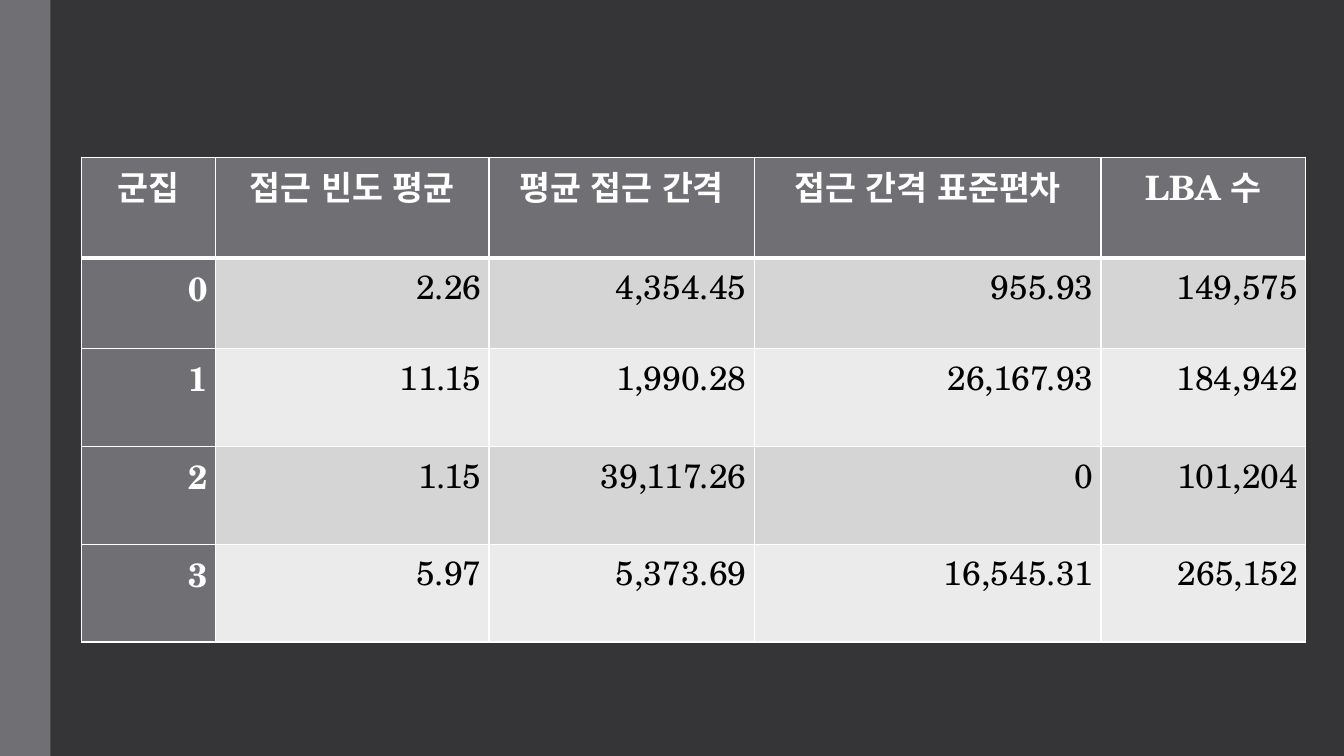
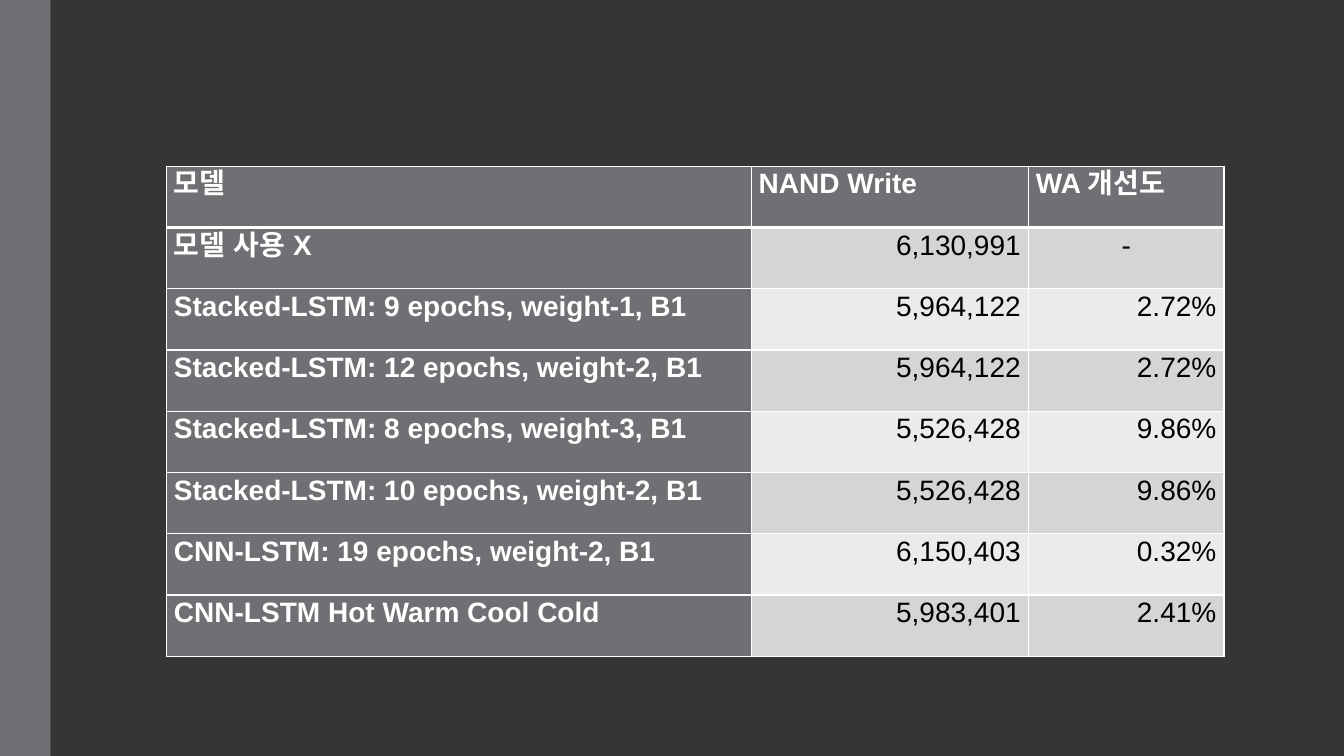
from lxml.etree import SubElement
from pptx import Presentation
from pptx.dml.color import RGBColor
from pptx.enum.shapes import MSO_SHAPE as Shape
from pptx.enum.text import PP_ALIGN as Align
from pptx.oxml import parse_xml
from pptx.oxml.ns import nsdecls, qn
from pptx.util import Inches, Pt

# Shared colours
BACKGROUND = RGBColor(0x35, 0x35, 0x37)
ACCENT = RGBColor(0x6F, 0x6F, 0x74)
DARK_ROW = RGBColor(0xD5, 0xD5, 0xD6)
LIGHT_ROW = RGBColor(0xEB, 0xEB, 0xEB)
WHITE = RGBColor(0xFF, 0xFF, 0xFF)
BLACK = RGBColor(0x00, 0x00, 0x00)

# Shared cell formats
CELL_FORMAT = {
    "margin_left": Pt(5.4),
    "margin_right": Pt(5.4),
    "margin_top": 0,
    "margin_bottom": 0,
}
PARAGRAPH_FORMAT = {"line_spacing": 1.07, "space_after": Pt(8)}
THIN, THICK = Pt(1), Pt(3)

# Table contents
CLUSTERS = [
    ["군집", "접근 빈도 평균", "평균 접근 간격", "접근 간격 표준편차", "LBA 수"],
    ["0", "2.26", "4,354.45", "955.93", "149,575"],
    ["1", "11.15", "1,990.28", "26,167.93", "184,942"],
    ["2", "1.15", "39,117.26", "0", "101,204"],
    ["3", "5.97", "5,373.69", "16,545.31", "265,152"],
]
MODELS = [
    ["모델", "NAND Write", "WA 개선도"],
    ["모델 사용 X", "6,130,991", "-"],
    ["Stacked-LSTM: 9 epochs, weight-1, B1", "5,964,122", "2.72%"],
    ["Stacked-LSTM: 12 epochs, weight-2, B1", "5,964,122", "2.72%"],
    ["Stacked-LSTM: 8 epochs, weight-3, B1", "5,526,428", "9.86%"],
    ["Stacked-LSTM: 10 epochs, weight-2, B1", "5,526,428", "9.86%"],
    ["CNN-LSTM: 19 epochs, weight-2, B1", "6,150,403", "0.32%"],
    ["CNN-LSTM Hot Warm Cool Cold", "5,983,401", "2.41%"],
]


def apply_format(target, values):
    for name, value in values.items():
        setattr(target, name, value)


def add_banded_slide(presentation):
    """Add a dark slide with the band at its left edge."""
    slide = presentation.slides.add_slide(presentation.slide_layouts[6])
    slide.background.fill.solid()
    slide.background.fill.fore_color.rgb = BACKGROUND

    band = slide.shapes.add_shape(
        Shape.RECTANGLE, 0, 0, Inches(0.5), presentation.slide_height
    )
    band.shadow.inherit = False
    band.fill.solid()
    band.fill.fore_color.rgb = ACCENT
    band.line.fill.background()
    return slide


def set_borders(cell, widths):
    """Draw the white borders; widths maps each side (L, R, T, B) to a width."""
    properties = cell._tc.get_or_add_tcPr()
    for index, (side, width) in enumerate(widths.items()):
        line = parse_xml(f'<a:ln{side} {nsdecls("a")} w="{width}"/>')
        fill = SubElement(line, qn("a:solidFill"))
        SubElement(fill, qn("a:srgbClr"), val=str(WHITE))
        properties.insert(index, line)


def fill_cell(cell, text, align, font_format, color, fill):
    apply_format(cell, CELL_FORMAT)
    cell.fill.solid()
    cell.fill.fore_color.rgb = fill
    paragraph = cell.text_frame.paragraphs[0]
    apply_format(paragraph, {**PARAGRAPH_FORMAT, "alignment": align})
    run = paragraph.add_run()
    run.text = text
    apply_format(run.font, font_format)
    run.font.color.rgb = color
    # Hangul and the spaces within it take the same font
    SubElement(run.font._element, qn("a:ea"), typeface=run.font.name)


def add_data_table(slide, rows, left, top, widths, heights, font, size,
                   header_align, label_align):
    """Add a table with a dark header row, dark label column and banded rows."""
    table = slide.shapes.add_table(
        len(rows), len(widths), Inches(left), Inches(top),
        Inches(sum(widths)), Inches(sum(heights)),
    ).table
    for column, width in zip(table.columns, widths):
        column.width = Inches(width)
    for row, height in zip(table.rows, heights):
        row.height = Inches(height)

    for row_index, values in enumerate(rows):
        for column_index, text in enumerate(values):
            is_header = row_index == 0
            is_label = is_header or column_index == 0
            if is_header:
                align = header_align
            elif is_label:
                align = label_align
            else:
                align = Align.CENTER if text == "-" else Align.RIGHT
            banding = DARK_ROW if row_index % 2 else LIGHT_ROW
            cell = table.cell(row_index, column_index)
            fill_cell(
                cell, text, align,
                {"name": font, "size": Pt(size), "bold": is_label},
                WHITE if is_label else BLACK,
                ACCENT if is_label else banding,
            )
            set_borders(cell, {
                "L": THIN,
                "R": THIN,
                "T": THICK if row_index == 1 else THIN,
                "B": THICK if is_header else THIN,
            })


def main():
    presentation = Presentation()
    presentation.slide_width = Inches(13.33)
    presentation.slide_height = Inches(7.5)

    # Cluster statistics
    add_data_table(
        add_banded_slide(presentation), CLUSTERS, 0.81, 1.56,
        widths=[1.33, 2.71, 2.63, 3.44, 2.03],
        heights=[1, 0.9, 0.97, 0.97, 0.97],
        font="TeX Gyre Schola", size=24,
        header_align=Align.CENTER, label_align=Align.RIGHT,
    )

    # Model comparison
    add_data_table(
        add_banded_slide(presentation), MODELS, 1.65, 1.65,
        widths=[5.8, 2.75, 1.94],
        heights=[4.86 / len(MODELS)] * len(MODELS),
        font="Arial", size=20,
        header_align=Align.JUSTIFY, label_align=Align.JUSTIFY,
    )

    presentation.save("out.pptx")


if __name__ == "__main__":
    main()
